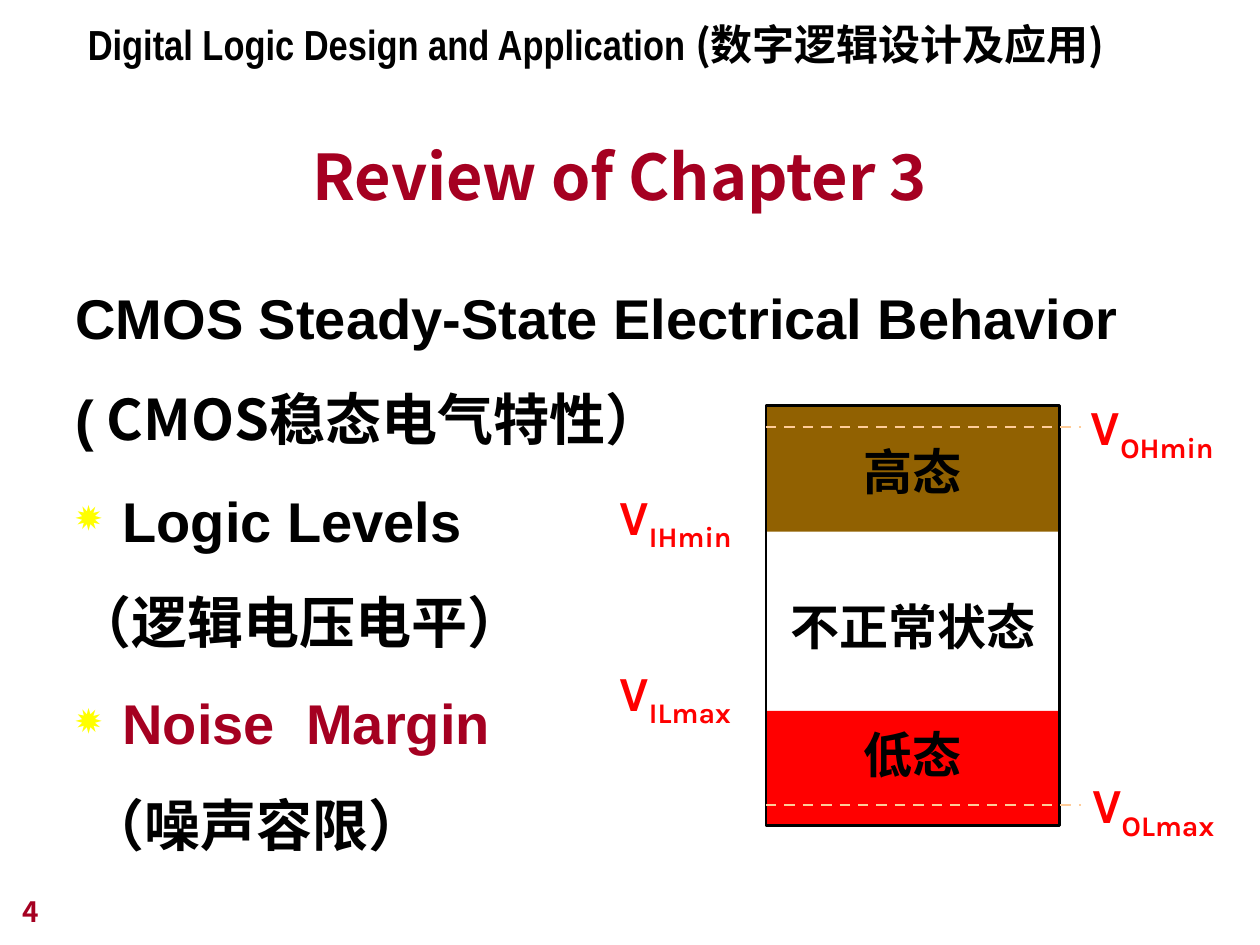
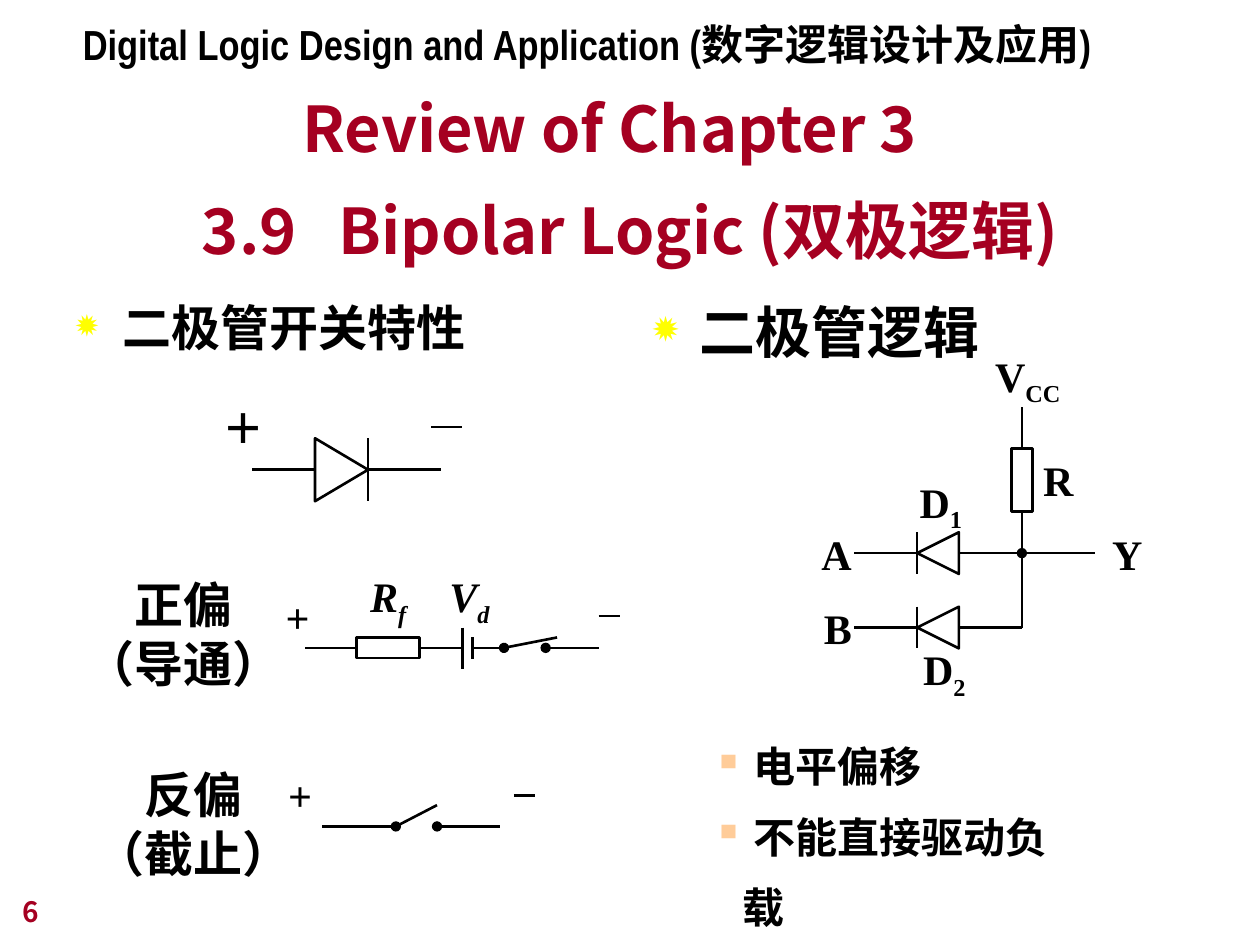
import pptx
import pptx.util
import pptx.dml.color
import pptx.enum.dml
import pptx.enum.shapes
import pptx.enum.text
import pptx.oxml.ns
from lxml import etree

Cm = pptx.util.Cm
Pt = pptx.util.Pt
ALIGN = pptx.enum.text.PP_ALIGN
ANCHOR = pptx.enum.text.MSO_ANCHOR
SHAPE = pptx.enum.shapes.MSO_SHAPE

COLORS = {"ink": "000000", "crimson": "A50021", "red": "FF0000", "brown": "916101",
          "yellow": "FFFF00", "peach": "FFCC99", "white": "FFFFFF"}
CJK = "Noto Sans CJK JP"
STAR = ("✹", "yellow", 80)
SQUARE = ("▪", "peach", 100)

TITLE = "Review of Chapter 3"
COURSE = "Digital Logic Design and Application "
COURSE_CHINESE = "(数字逻辑设计及应用)"

BEHAVIOR = [
    (None, [("CMOS Steady-State Electrical Behavior", {})]),
    (None, [("(", {}), (" CMOS稳态电气特性）", {"font": CJK})]),
    (STAR, [("Logic Levels", {})]),
    (None, [("（逻辑电压电平）", {})]),
    (STAR, [("Noise", {"color": "crimson"}), (" ", {"spacing": 8.9}), ("Margin", {"color": "crimson"})]),
    (None, [(" （噪声容限）", {})]),
]
LEVEL_BANDS = [("red", 14.33, 2.34), ("brown", 8.18, 2.54)]
LEVEL_STATES = [("高态", 1.5, 0), ("不正常状态", 1.3, 45), ("低态", 1.1, 36)]
LEVEL_LABELS = [("OLmax", 21.77, 15.49, 3.15), ("ILmax", 12.24, 13.23, 2.92),
                ("IHmin", 12.24, 9.68, 2.92), ("OHmin", 21.74, 7.87, 3.15)]
LEVEL_LIMITS = [8.61, 16.23]

TOPICS = [("二极管开关特性", 28, 1.27), ("二极管逻辑", 32, 12.9)]
DRAWBACKS = [" 电平偏移", " 不能直接驱动负载"]
BIAS_STATES = [(["正偏", "（导通）"], 1.47, 11.46), (["反偏", "（截止）"], 1.68, 15.29)]
DIODES = [(5.08, 6.35, 7.42, 8.89, 9.47, 1.27),
          (20.6, 19.33, 18.49, 17.22, 11.15, 0.84),
          (20.6, 19.33, 18.49, 17.22, 12.65, 0.84)]
RESISTORS = [
    (7.19, 12.85, 1.27, 0.42, [(3, 9.32, 13.06), (1, 6.15, 13.06)]),
    (20.39, 9.04, 0.42, 1.27, [(0, 20.6, 8.2), (2, 20.6, 12.65)]),
]
WIRES = [(9.32, 12.65, 9.32, 13.49), (9.53, 12.85, 9.53, 13.28), (9.53, 13.06, 10.16, 13.06),
         (6.5, 16.66, 7.98, 16.66)]
DOTTED_WIRES = [(10.16, 13.06, 11.23, 12.85), (11, 13.06, 12.07, 13.06),
                (7.98, 16.66, 8.81, 16.23), (8.81, 16.66, 10.08, 16.66),
                (20.6, 11.15, 22.07, 11.15)]
MINUS_SIGNS = [(8.69, 8.61, 0.63), (12.07, 12.42, 0.43), (10.36, 16.03, 0.43)]
CIRCUIT_LABELS = [
    ("＋", "", 4.24, 7.98, 1.35, {"font": "Arial Narrow"}),
    ("+", "", 5.51, 11.79, 0.99, {}),
    ("+", "", 5.56, 15.39, 0.99, {}),
    ("R", "f", 7.21, 11.38, 1.22, {"italic": True}),
    ("V", "d", 8.81, 11.38, 1.32, {"italic": True}),
    ("A", "", 16.31, 10.52, 1.12, {}),
    ("B", "", 16.36, 12.01, 1.07, {}),
    ("D", "1", 18.29, 9.47, 1.37, {}),
    ("D", "2", 18.36, 12.85, 1.37, {}),
    ("R", "", 20.78, 9.04, 1.12, {}),
    ("V", "CC", 19.81, 6.93, 1.83, {}),
    ("Y", "", 22.17, 10.52, 1.12, {}),
]


def rgb(name):
    return pptx.dml.color.RGBColor.from_string(COLORS[name])


def add_run(paragraph, text, size, font="Arial", color="ink", italic=None, baseline=0, spacing=0):
    run = paragraph.add_run()
    run.text = text
    run.font.size = Pt(size)
    run.font.name = font
    run.font.bold = True
    run.font.italic = italic
    run.font.color.rgb = rgb(color)
    properties = run._r.get_or_add_rPr()
    if baseline:
        properties.set("baseline", str(baseline * 1000))
    if spacing:
        properties.set("spc", str(round(spacing * 100)))


def set_indent(paragraph, indent, bullet):
    properties = paragraph._p.get_or_add_pPr()
    properties.set("marL", str(Cm(indent)))
    properties.set("indent", str(-Cm(indent)))
    if bullet:
        character, color, percent = bullet
        holder = etree.SubElement(properties, pptx.oxml.ns.qn("a:buClr"))
        etree.SubElement(holder, pptx.oxml.ns.qn("a:srgbClr"), val=COLORS[color])
        etree.SubElement(properties, pptx.oxml.ns.qn("a:buSzPct"), val=str(percent * 1000))
        etree.SubElement(properties, pptx.oxml.ns.qn("a:buChar"), char=character)


def next_paragraph(frame, index):
    return frame.add_paragraph() if index else frame.paragraphs[0]


def set_frame(frame, wrap=True, anchor=ANCHOR.TOP):
    frame.word_wrap = wrap
    frame.vertical_anchor = anchor
    frame.auto_size = pptx.enum.text.MSO_AUTO_SIZE.NONE
    frame.margin_left = frame.margin_right = Cm(0.25)
    frame.margin_top = frame.margin_bottom = Cm(0.13)
    return frame


def add_text(slide, left, top, width, height, wrap=True, anchor=ANCHOR.TOP):
    box = slide.shapes.add_textbox(Cm(left), Cm(top), Cm(width), Cm(height))
    return set_frame(box.text_frame, wrap, anchor)


def add_outline(slide, kind, left, top, width, height, fill=None, line=True):
    shape = slide.shapes.add_shape(kind, Cm(left), Cm(top), Cm(width), Cm(height))
    shape.shadow.inherit = False
    if fill:
        shape.fill.solid()
        shape.fill.fore_color.rgb = rgb(fill)
    else:
        shape.fill.background()
    if line:
        shape.line.color.rgb = rgb("ink")
        shape.line.width = Pt(1.5)
    else:
        shape.line.fill.background()
    return shape


def add_wire(slide, x1, y1, x2, y2, color="ink", dotted=False):
    wire = slide.shapes.add_connector(pptx.enum.shapes.MSO_CONNECTOR.STRAIGHT,
                                      Cm(x1), Cm(y1), Cm(x2), Cm(y2))
    wire.line.color.rgb = rgb(color)
    wire.line.width = Pt(1.5)
    if dotted:
        etree.SubElement(wire.line._get_or_add_ln(), pptx.oxml.ns.qn("a:headEnd"), type="oval")
    etree.SubElement(wire._element.spPr, pptx.oxml.ns.qn("a:effectLst"))
    return wire


def add_diode(slide, anode_lead, anode, cathode, cathode_lead, y, base):
    height = abs(cathode - anode)
    center = (anode + cathode) / 2
    triangle = add_outline(slide, SHAPE.ISOSCELES_TRIANGLE, center - base / 2, y - height / 2, base, height)
    triangle.rotation = 90 if cathode > anode else 270
    add_wire(slide, cathode, y - base / 2, cathode, y + base / 2)
    add_wire(slide, anode_lead, y, anode, y)
    add_wire(slide, cathode, y, cathode_lead, y)


def add_symbol(slide, symbol, subscript, left, top, width, size, **style):
    paragraph = add_text(slide, left, top, width, 1.42, wrap=False).paragraphs[0]
    add_run(paragraph, symbol, size, **style)
    if subscript:
        add_run(paragraph, subscript, size, baseline=-25, **style)


def add_heading(frame, runs):
    paragraph = frame.paragraphs[0]
    paragraph.alignment = ALIGN.CENTER
    for text, spacing in runs:
        add_run(paragraph, text, 36, CJK, "crimson", spacing=spacing)


def add_page(presentation, number, title_box, course_box, course_font):
    slide = presentation.slides.add_slide(presentation.slide_layouts[5])
    slide.background.fill.solid()
    slide.background.fill.fore_color.rgb = rgb("white")
    title = slide.shapes.title
    title.left, title.top, title.width, title.height = map(Cm, title_box)
    add_heading(set_frame(title.text_frame, anchor=ANCHOR.BOTTOM), [(TITLE, 0)])
    paragraph = add_text(slide, *course_box).paragraphs[0]
    add_run(paragraph, COURSE, 24, "Arial Narrow")
    add_run(paragraph, COURSE_CHINESE, 24, course_font)
    footer = add_text(slide, 0.2, 17.58, 5.28, 1.27, anchor=ANCHOR.BOTTOM)
    add_run(footer.paragraphs[0], number, 16, CJK, "crimson")
    return slide


def build_levels(presentation):
    slide = add_page(presentation, "4", (1.7, 2.31, 21.59, 2.11), (1.52, 0.25, 21.36, 1.27), CJK)
    frame = add_text(slide, 1.27, 5.18, 22.86, 13.54)
    for index, (bullet, runs) in enumerate(BEHAVIOR):
        paragraph = next_paragraph(frame, index)
        set_indent(paragraph, 0.95, bullet)
        paragraph.line_spacing = 1.3
        paragraph.space_before = Pt(8 if index else 0)
        for text, style in runs:
            add_run(paragraph, text, 32, **style)

    left, width = 15.44, 5.92
    for color, top, height in LEVEL_BANDS:
        add_outline(slide, SHAPE.RECTANGLE, left, top, width, height, color, line=False)
    tank = add_outline(slide, SHAPE.RECTANGLE, left, 8.18, width, 8.46)
    frame = set_frame(tank.text_frame, wrap=False)
    for index, (state, spacing, gap) in enumerate(LEVEL_STATES):
        paragraph = next_paragraph(frame, index)
        paragraph.alignment = ALIGN.CENTER
        paragraph.line_spacing = spacing
        paragraph.space_before = Pt(gap)
        add_run(paragraph, state, 28, "Arial Narrow")
    for y in LEVEL_LIMITS:
        limit = add_wire(slide, left, y, left + 6.35, y, "peach")
        limit.line.dash_style = pptx.enum.dml.MSO_LINE.DASH
    for subscript, x, y, label_width in LEVEL_LABELS:
        add_symbol(slide, "V", subscript, x, y, label_width, 28, font="Karla", color="red")


def build_bipolar(presentation):
    slide = add_page(presentation, "6", (1.5, 1.52, 21.59, 1.93), (1.42, 0.25, 22.5, 1.27), "Arial Narrow")
    subtitle = add_text(slide, 1.91, 3.4, 21.59, 2.11, anchor=ANCHOR.BOTTOM)
    add_heading(subtitle, [("3.9", 0), (" ", 16), ("Bipolar Logic (双极逻辑)", 0)])
    for topic, size, left in TOPICS:
        paragraph = add_text(slide, left, 5.87, 11.23, 1.8).paragraphs[0]
        set_indent(paragraph, 0.95, STAR)
        add_run(paragraph, topic, size)

    for diode in DIODES:
        add_diode(slide, *diode)
    for left, top, width, height, leads in RESISTORS:
        resistor = add_outline(slide, SHAPE.RECTANGLE, left, top, width, height)
        for side, x, y in leads:
            add_wire(slide, x, y, x, y).begin_connect(resistor, side)
    for wire in WIRES:
        add_wire(slide, *wire)
    for wire in DOTTED_WIRES:
        add_wire(slide, *wire, dotted=True)
    for x, y, length in MINUS_SIGNS:
        add_wire(slide, x, y, x + length, y)
    for symbol, subscript, left, top, width, style in CIRCUIT_LABELS:
        add_symbol(slide, symbol, subscript, left, top, width, 24, **{"font": "Times New Roman", **style})

    for lines, left, top in BIAS_STATES:
        frame = add_text(slide, left, top, 4.45, 2.64, wrap=False)
        for index, line in enumerate(lines):
            paragraph = next_paragraph(frame, index)
            paragraph.alignment = ALIGN.CENTER
            add_run(paragraph, line, 28, "Arial Narrow")
    frame = add_text(slide, 14.12, 14.4, 7.85, 3.1)
    for index, drawback in enumerate(DRAWBACKS):
        paragraph = next_paragraph(frame, index)
        set_indent(paragraph, 0.6, SQUARE)
        paragraph.line_spacing = 1.4
        add_run(paragraph, drawback, 24, "Times New Roman")


def main():
    presentation = pptx.Presentation()
    presentation.slide_width = Cm(25.4)
    presentation.slide_height = Cm(19.05)
    build_levels(presentation)
    build_bipolar(presentation)
    presentation.save("out.pptx")


if __name__ == "__main__":
    main()
